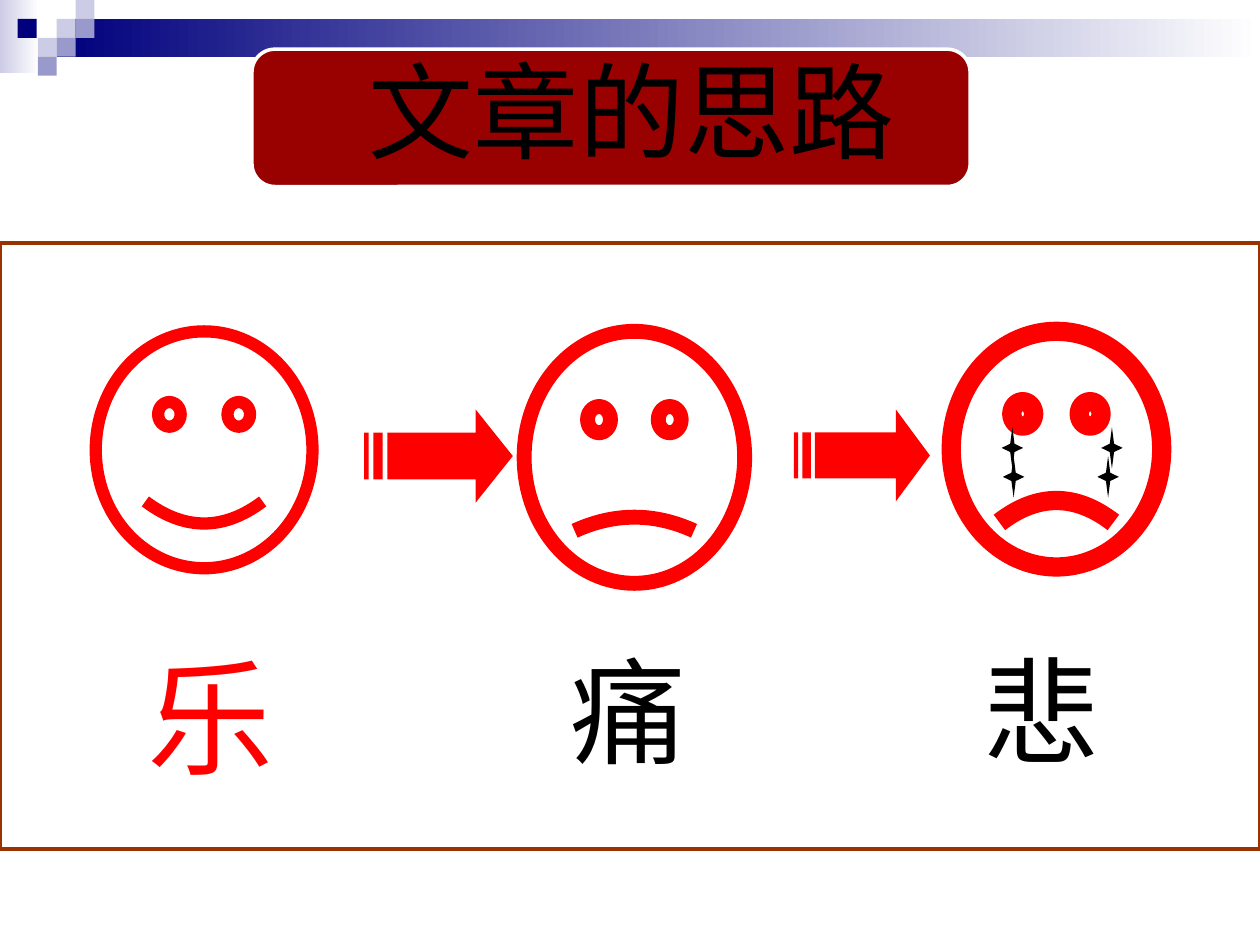
from pptx import Presentation
from pptx.dml.color import RGBColor
from pptx.enum.shapes import MSO_SHAPE
from pptx.enum.text import MSO_AUTO_SIZE
from pptx.util import Inches, Pt

NAVY = RGBColor(0x00, 0x00, 0x7D)
LAVENDER = RGBColor(0xCC, 0xCC, 0xE6)
PERIWINKLE = RGBColor(0x99, 0x99, 0xCC)
WHITE = RGBColor(0xFF, 0xFF, 0xFF)
BLACK = RGBColor(0x00, 0x00, 0x00)
RED = RGBColor(0xFF, 0x00, 0x00)
MAROON = RGBColor(0x99, 0x00, 0x00)
BROWN = RGBColor(0x99, 0x33, 0x00)


def write_text(text_frame, text, *, size, font="Karla", color=BLACK):
    """Write one formatted run into the text frame."""
    run = text_frame.paragraphs[0].add_run()
    run.text = text
    run.font.size = Pt(size)
    run.font.name = font
    run.font.color.rgb = color


class SlideBuilder:
    """Draws styled elements on the current slide."""

    def __init__(self, slide):
        self.slide = slide

    def finish(self, shape, fill=None, line=None, line_width=2):
        shape.shadow.inherit = False
        if fill is None:
            shape.fill.background()
        else:
            shape.fill.solid()
            shape.fill.fore_color.rgb = fill
        if line is None:
            shape.line.fill.background()
        else:
            shape.line.color.rgb = line
            shape.line.width = Pt(line_width)
        return shape

    def shape(self, kind, left, top, width, height, adjustment=None, **style):
        shape = self.slide.shapes.add_shape(
            kind, Inches(left), Inches(top), Inches(width), Inches(height))
        if adjustment is not None:
            shape.adjustments[0] = adjustment
        return self.finish(shape, **style)

    def rectangle(self, left, top, width, height, **style):
        return self.shape(MSO_SHAPE.RECTANGLE, left, top, width, height, **style)

    def gradient(self, left, top, width, height, start):
        shape = self.rectangle(left, top, width, height)
        shape.fill.gradient()
        shape.fill.gradient_angle = 0
        for stop, color in zip(shape.fill.gradient_stops, (start, WHITE)):
            stop.color.rgb = color

    def face(self, left, top, width, height, smile, line_width):
        self.shape(MSO_SHAPE.SMILEY_FACE, left, top, width, height, smile,
                   line=RED, line_width=line_width)

    def outline(self, contours, fill):
        contours = [[(Inches(x), Inches(y)) for x, y in contour] for contour in contours]
        builder = self.slide.shapes.build_freeform(*contours[0][0], scale=1.0)
        for index, (first, *others) in enumerate(contours):
            if index:
                builder.move_to(*first)
            builder.add_line_segments(others, close=True)
        self.finish(builder.convert_to_shape(), fill=fill)

    def striped_arrow(self, left, top, width, height):
        def across(fraction):
            return left + width * fraction

        upper, lower = top + height / 4, top + height * 3 / 4
        neck, tip, middle = across(0.75), left + width, top + height / 2
        body = across(0.156)
        contours = [[(neck, top), (neck, upper), (body, upper), (body, lower),
                     (neck, lower), (neck, top + height), (tip, middle)]]
        for start, end in ((0.0625, 0.125), (0, 0.031)):
            contours.append([(across(start), upper), (across(start), lower),
                             (across(end), lower), (across(end), upper)])
        self.outline(contours, RED)

    def tear(self, left, top, width=0.17, height=0.33):
        grid = ((0, 0.5), (0.4, 0.4), (0.5, 0), (0.6, 0.4),
                (1, 0.5), (0.6, 0.6), (0.5, 1), (0.4, 0.6))
        self.outline([[(left + width * x, top + height * y) for x, y in grid]], BLACK)

    def text(self, text, left, top, width, height, wrap=True, **style):
        box = self.slide.shapes.add_textbox(
            Inches(left), Inches(top), Inches(width), Inches(height))
        box.text_frame.word_wrap = wrap
        box.text_frame.auto_size = MSO_AUTO_SIZE.SHAPE_TO_FIT_TEXT
        write_text(box.text_frame, text, **style)


def main():
    """Build the slide and save it."""
    presentation = Presentation()
    presentation.slide_width = Inches(10)
    presentation.slide_height = Inches(7.5)
    slide = presentation.slides.add_slide(presentation.slide_layouts[6])
    builder = SlideBuilder(slide)

    builder.gradient(0, 0, 0.31, 0.58, LAVENDER)
    builder.gradient(0.45, 0.15, 9.55, 0.3, NAVY)
    tiles = ((0.45, 0.15, LAVENDER), (0.6, 0, LAVENDER), (0.6, 0.15, PERIWINKLE),
             (0.3, 0.3, LAVENDER), (0.14, 0.15, NAVY), (0.45, 0.3, PERIWINKLE),
             (0.3, 0.45, PERIWINKLE))
    for left, top, color in tiles:
        builder.rectangle(left, top, 0.15, 0.15, fill=color)

    builder.rectangle(0, 1.93, 10, 4.81, fill=WHITE, line=BROWN)
    builder.shape(MSO_SHAPE.ROUNDED_RECTANGLE, 2, 0.39, 5.7, 1.09, 0.167,
                  fill=MAROON, line=WHITE)
    builder.text("文章的思路", 2.83, 0.32, 5.69, 1.1, size=60, font="Arial")

    builder.face(0.76, 2.63, 1.72, 1.88, 0.093, 7)
    builder.face(4.16, 2.63, 1.75, 2, -0.027, 8.5)
    builder.text("乐", 1.07, 5.03, 2, 1.3, size=72, color=RED)
    builder.text("痛", 4.43, 5.03, 1.92, 1.2, size=66)
    builder.text("悲", 7.71, 5.03, 1.11, 1.2, wrap=False, size=66)
    builder.striped_arrow(2.89, 3.25, 1.18, 0.74)
    builder.striped_arrow(6.3, 3.25, 1.08, 0.73)

    builder.face(7.55, 2.63, 1.67, 1.87, -0.047, 11)
    for left, top in ((7.95, 3.39), (7.96, 3.62), (8.71, 3.62), (8.74, 3.39)):
        builder.tear(left, top)

    presentation.save("out.pptx")


if __name__ == "__main__":
    main()
